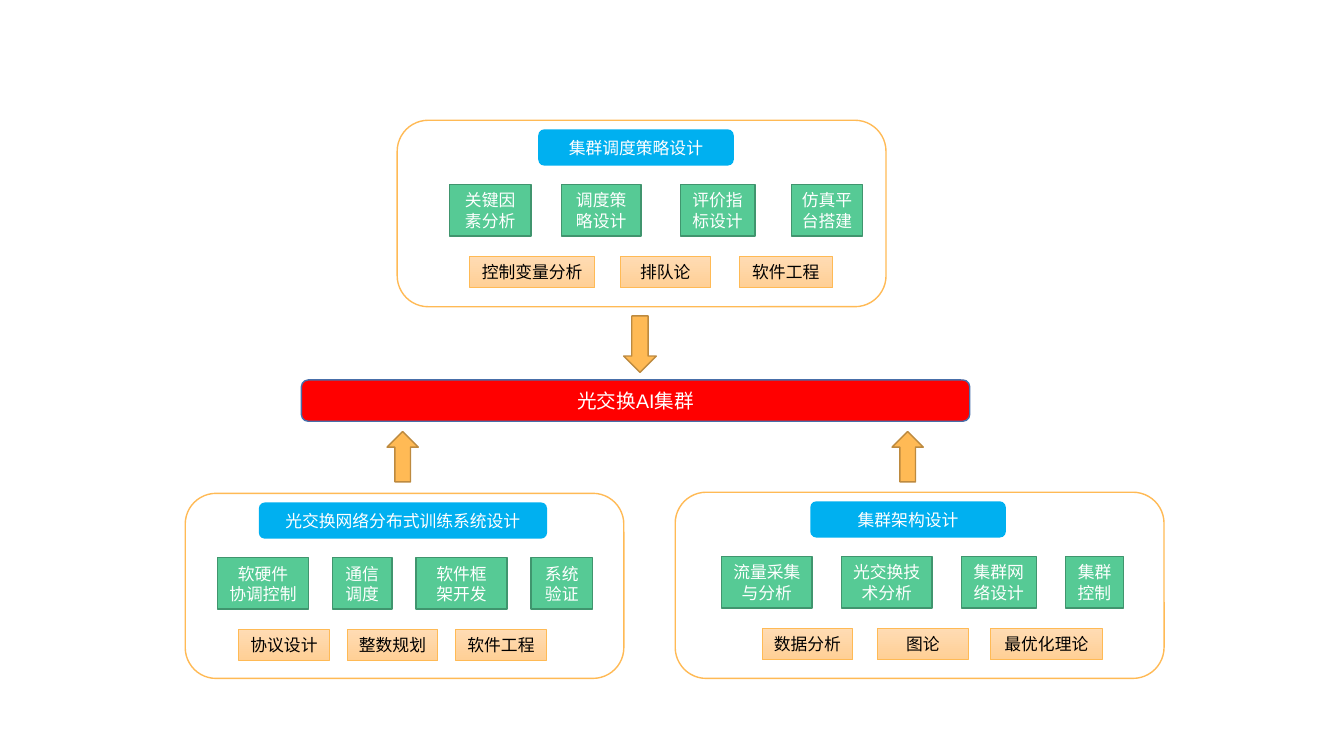
from pptx import Presentation
from pptx.dml.color import RGBColor
from pptx.enum.shapes import MSO_SHAPE as Preset
from pptx.enum.text import MSO_ANCHOR as Anchor, PP_ALIGN as Align
from pptx.util import Pt

WHITE = RGBColor(0xFF, 0xFF, 0xFF)
BLACK = RGBColor(0x00, 0x00, 0x00)
RED = RGBColor(0xFF, 0x00, 0x00)
NAVY = RGBColor(0x47, 0x6F, 0xAA)
SKY = RGBColor(0x00, 0xB0, 0xF0)
GREEN = RGBColor(0x56, 0xCA, 0x95)
DARK_GREEN = RGBColor(0x40, 0x95, 0x6E)
ORANGE = RGBColor(0xFF, 0xBA, 0x55)
BROWN = RGBColor(0xBD, 0x8A, 0x3F)
PEACH = (RGBColor(0xFF, 0xDC, 0xB4), RGBColor(0xFF, 0xCF, 0x95))

TAB_HEIGHT, TASK_HEIGHT, METHOD_HEIGHT = 25.9, 36.7, 22.3
TAB_TOP, TASK_TOP, METHOD_TOP = 6.5, 46, 97.2


def write_text(shape, text, size=12, color=WHITE, font="Arial"):
    """Fill a shape with centred text, one paragraph per line."""
    frame = shape.text_frame
    frame.word_wrap = True
    frame.vertical_anchor = Anchor.MIDDLE
    frame.text = text
    for paragraph in frame.paragraphs:
        paragraph.alignment = Align.CENTER
        for run in paragraph.runs:
            run.font.size = Pt(size)
            run.font.name = font
            run.font.color.rgb = color


def draw_shape(slide, preset, box, fill, line=None, weight=1):
    """Add a preset shape; a pair of colours gives a vertical gradient."""
    shape = slide.shapes.add_shape(preset, *map(Pt, box))
    shape.shadow.inherit = False
    if isinstance(fill, RGBColor):
        shape.fill.solid()
        shape.fill.fore_color.rgb = fill
    else:
        shape.fill.gradient()
        shape.fill.gradient_angle = 270
        for stop, color in zip(shape.fill.gradient_stops, fill):
            stop.color.rgb = color
    if line is None:
        shape.line.fill.background()
    else:
        shape.line.color.rgb = line
        shape.line.width = Pt(weight)
    return shape


def draw_goal(slide, box, text):
    """Draw the red bar that the three panels lead to."""
    goal = draw_shape(slide, Preset.ROUNDED_RECTANGLE, box, RED, NAVY)
    write_text(goal, text, size=14)


def draw_arrow(slide, box, rotation=0):
    """Draw a block arrow that points down unless rotated."""
    arrow = draw_shape(slide, Preset.DOWN_ARROW, box, ORANGE, BROWN)
    arrow.rotation = rotation


def draw_panel(slide, box, tab, tasks, methods):
    """Draw a panel; each part is (x offset, width, text)."""
    left, top = box[:2]
    draw_shape(slide, Preset.ROUNDED_RECTANGLE, box, WHITE, ORANGE)

    offset, width, text = tab
    tab_box = (left + offset, top + TAB_TOP, width, TAB_HEIGHT)
    write_text(draw_shape(slide, Preset.ROUNDED_RECTANGLE, tab_box, SKY), text)

    for offset, width, text in tasks:
        task_box = (left + offset, top + TASK_TOP, width, TASK_HEIGHT)
        task = draw_shape(slide, Preset.RECTANGLE, task_box, GREEN, DARK_GREEN)
        write_text(task, text)

    for offset, width, text in methods:
        method_box = (left + offset, top + METHOD_TOP, width, METHOD_HEIGHT)
        method = draw_shape(slide, Preset.RECTANGLE, method_box, PEACH, ORANGE, 0.5)
        write_text(method, text, color=BLACK)


def draw_cluster_slide(slide):
    """Place the goal, its three panels and the arrows between them."""
    draw_goal(slide, (215.3, 271.4, 477.4, 29.5), "光交换AI集群")
    draw_panel(
        slide, (283.7, 85.9, 349.2, 133.2),
        (100.8, 139.7, "集群调度策略设计"),
        [(37.2, 58.5, "关键因\n素分析"), (117.2, 57, "调度策\n略设计"),
         (202.3, 53.3, "评价指标设计"), (281.5, 51, "仿真平台搭建")],
        [(51.8, 89.3, "控制变量分析"), (159.1, 64.8, "排队论"),
         (244.1, 67, "软件工程")])
    draw_panel(
        slide, (132.3, 352.4, 313.3, 132.2),
        (52.6, 205.9, "光交换网络分布式训练系统设计"),
        [(23.2, 64.8, "软硬件\n协调控制"), (105.2, 42.5, "通信\n调度"),
         (165, 64.8, "软件框\n架开发"), (247, 44, "系统\n验证")],
        [(38.2, 64.8, "协议设计"), (115.7, 64.8, "整数规划"),
         (193.2, 64.8, "软件工程")])
    draw_panel(
        slide, (482.3, 351.6, 349.2, 133),
        (96.5, 139.7, "集群架构设计"),
        [(33.1, 64.8, "流量采集与分析"), (118.7, 64.8, "光交换技术分析"),
         (204.4, 53.5, "集群网络设计"), (278.6, 41.8, "集群控制")],
        [(62, 64.8, "数据分析"), (144.5, 64.8, "图论"),
         (225.2, 80, "最优化理论")])
    draw_arrow(slide, (445.5, 225.7, 23.3, 40.3))
    for left in (276.5, 637.2):
        draw_arrow(slide, (left, 308.2, 22.3, 36), rotation=180)


def main():
    """Build the one-slide presentation."""
    presentation = Presentation()
    presentation.slide_width, presentation.slide_height = Pt(960), Pt(540)
    blank = presentation.slide_layouts[6]
    draw_cluster_slide(presentation.slides.add_slide(blank))
    presentation.save("out.pptx")


if __name__ == "__main__":
    main()
